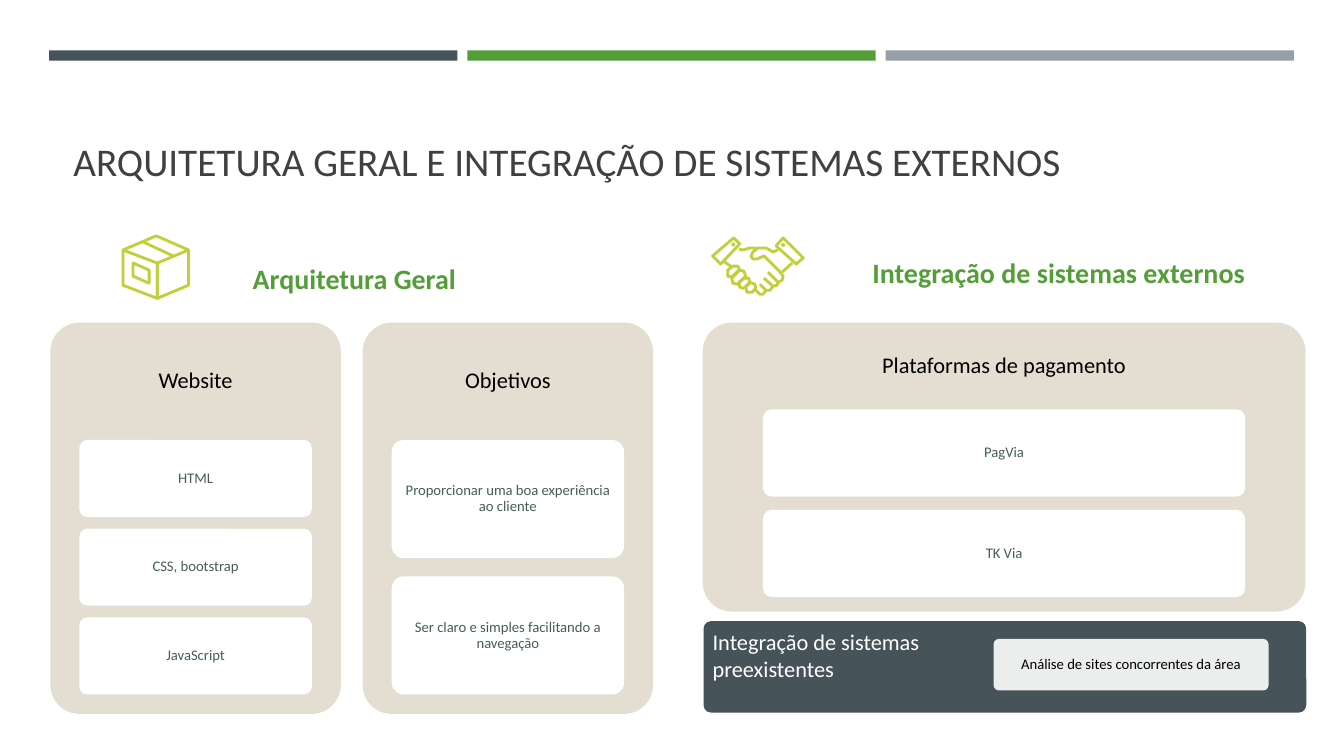
import pptx
import pptx.util
import pptx.dml.color
import pptx.enum.shapes
import pptx.enum.text
import lxml.etree
from pptx.util import Cm

COLORS = {"slate": "465359", "green": "549E39", "grey": "969FA7", "lime": "C0CF3A",
          "sand": "E3DED1", "white": "FFFFFF", "black": "000000",
          "title": "404040", "card": "455F51"}
FONT = "Calibri"

# Content: positions are (left, top, width, height) in cm
TITLE = "ARQUITETURA GERAL E INTEGRAÇÃO DE SISTEMAS EXTERNOS"
BARS = ["slate", "green", "grey"]
SECTIONS = [
    ("Arquitetura Geral", (1.35, 6.45, 15.16, 1.12)),
    ("Integração de sistemas externos", (19.1, 6.3, 15.16, 1.12)),
]
PANELS = [
    ("Website", (1.27, 8.13, 7.32, 9.86), ["HTML", "CSS, bootstrap", "JavaScript"]),
    ("Objetivos", (9.14, 8.13, 7.32, 9.86),
     ["Proporcionar uma boa experiência ao cliente",
      "Ser claro e simples facilitando a navegação"]),
    ("Plataformas de pagamento", (17.71, 8.13, 15.19, 7.28), ["PagVia", "TK Via"]),
]
EXISTING = "Integração de sistemas preexistentes"
ANALYSIS = "Análise de sites concorrentes da área"

# Icon strokes: (closed, points) on a grid of 0.0254 cm
ICON_UNIT = 0.0254
PARCEL = [
    (True, [(122.5, 248), (156.5, 261), (156.5, 296.5), (122.5, 283)]),
    (True, [(156.5, 261), (187, 248), (187, 283), (156.5, 296.5)]),
    (False, [(122.5, 248), (155, 234.5), (187, 248)]),
    (False, [(141.5, 240), (172.5, 254)]),
    (True, [(131.5, 261), (147.5, 268), (147.5, 281), (131.5, 274)]),
]
HANDSHAKE = [
    # Cuffs
    (True, [(707, 254.5), (727.5, 235.5), (734.5, 242.5), (715, 262)]),
    (True, [(777, 236.5), (797, 255.5), (789.5, 262.5), (769.5, 243.5)]),
    # Arms and thumb
    (False, [(733, 247), (737, 248.5), (744, 245.5), (750, 246)]),
    (False, [(719, 260), (725, 264)]),
    (False, [(786, 261), (776, 270.5)]),
    (False, [(772, 248), (767, 249.5), (760, 245.5), (752, 246), (747, 250),
             (745, 254), (747, 257), (751, 257), (758, 254.5), (774, 270.5),
             (777, 274), (776, 277.5), (772.5, 279.5), (762, 270)]),
    # Left fingers
    (True, [(722, 268.5), (727, 263.5), (732, 264), (733.5, 268.5), (727, 275), (722, 274)]),
    (True, [(726.5, 275), (733, 268.5), (738, 269), (739.5, 274.5), (732.5, 281.5), (727, 281)]),
    (True, [(733, 280), (738.5, 275.5), (743, 276), (744, 281), (738.5, 286), (733.5, 285)]),
    (True, [(740.5, 284), (744.5, 280.5), (749, 281.5), (749.5, 286.5), (746, 290), (741, 289.5)]),
    # Right fingers
    (False, [(772.5, 279.5), (771, 283), (767, 284.5), (758, 275.5)]),
    (False, [(767, 284.5), (764, 288.5), (760, 288.5), (754, 282)]),
    (False, [(760, 288.5), (757, 291.5), (753.5, 291.5), (750, 288)]),
]
KNUCKLES = [(727.5, 242.5), (777, 243)]

deck = pptx.Presentation()
deck.slide_width, deck.slide_height = Cm(33.87), Cm(19.05)
page = deck.slides.add_slide(deck.slide_layouts[5])


def rgb(name):
    return pptx.dml.color.RGBColor.from_string(COLORS[name])


def write(box, text, size=10.5, color="card", bold=False, align="CENTER",
          anchor="MIDDLE", inset=0.07, spacing=0.9):
    frame = box.text_frame
    frame.word_wrap = True
    frame.auto_size = pptx.enum.text.MSO_AUTO_SIZE.NONE
    frame.vertical_anchor = pptx.enum.text.MSO_ANCHOR[anchor]
    frame.margin_left = frame.margin_right = Cm(inset)
    frame.margin_top = frame.margin_bottom = Cm(min(inset, 0.13))
    para = frame.paragraphs[0]
    para.alignment = pptx.enum.text.PP_ALIGN[align]
    para.line_spacing = spacing
    span = para.add_run()
    span.text = text
    span.font.name, span.font.size, span.font.bold = FONT, pptx.util.Pt(size), bold
    span.font.color.rgb = rgb(color)


def add_text(place, text, **style):
    write(page.shapes.add_textbox(*map(Cm, place)), text, **style)


def add_block(kind, place, fill, corner=None):
    block = page.shapes.add_shape(pptx.enum.shapes.MSO_SHAPE[kind], *map(Cm, place))
    block.shadow.inherit = False
    block.fill.solid()
    block.fill.fore_color.rgb = rgb(fill)
    block.line.fill.background()
    if corner is not None:
        block.adjustments[0] = corner
    return block


def add_icon(strokes):
    for closed, points in strokes:
        builder = page.shapes.build_freeform(*points[0], scale=Cm(ICON_UNIT))
        builder.add_line_segments(points[1:], close=closed)
        stroke = builder.convert_to_shape()
        stroke.shadow.inherit = False
        stroke.fill.background()
        stroke.line.color.rgb = rgb("lime")
        stroke.line.width = pptx.util.Pt(2)


# Top bars
for index, color in enumerate(BARS):
    add_block("RECTANGLE", (1.24 + index * 10.54, 1.27, 10.29, 0.26), color)

# Title
title = page.shapes.title
title.left, title.top, title.width, title.height = map(Cm, (1.6, 2.03, 30.63, 2.74))
write(title, TITLE, size=28, color="title", align="LEFT", anchor="BOTTOM",
      inset=0.25, spacing=1)

# Section headings and icons
for heading, place in SECTIONS:
    add_text(place, heading, size=20, color="green", bold=True, anchor="TOP",
             inset=0.25, spacing=1)
add_icon(PARCEL)
add_icon(HANDSHAKE)
for x, y in KNUCKLES:
    add_block("OVAL", (x * ICON_UNIT - 0.05, y * ICON_UNIT - 0.05, 0.1, 0.1), "lime")

# Panels: heading in the top 30 %, cards in the next 65 %
for heading, (left, top, width, height), cards in PANELS:
    add_block("ROUNDED_RECTANGLE", (left, top, width, height), "sand", 0.1)
    add_text((left, top, width, 0.3 * height), heading, size=16, color="black", inset=0.17)
    gap_ratio = 0.154
    card_height = 0.65 * height / (len(cards) + gap_ratio * (len(cards) - 1))
    for index, text in enumerate(cards):
        card_top = top + 0.3 * height + index * card_height * (1 + gap_ratio)
        card = add_block("ROUNDED_RECTANGLE",
                         (left + 0.1 * width, card_top, 0.8 * width, card_height), "white", 0.1)
        write(card, text, inset=0.14)

# Existing systems strip
add_block("ROUNDED_RECTANGLE", (17.73, 15.65, 15.19, 2.31), "slate", 0.085)
analysis = add_block("ROUNDED_RECTANGLE", (25.04, 16.1, 6.93, 1.3), "white", 0.105)
fill_color = analysis.fill._xPr.find(".//" + pptx.oxml.ns.qn("a:srgbClr"))
lxml.etree.SubElement(fill_color, pptx.oxml.ns.qn("a:alpha"), val="90000")
write(analysis, ANALYSIS, color="black", inset=0.13)
add_text((17.71, 15.7, 6.88, 2.31), EXISTING, size=16, color="white", align="LEFT",
         anchor="TOP", inset=0.25, spacing=1)

deck.save("out.pptx")
